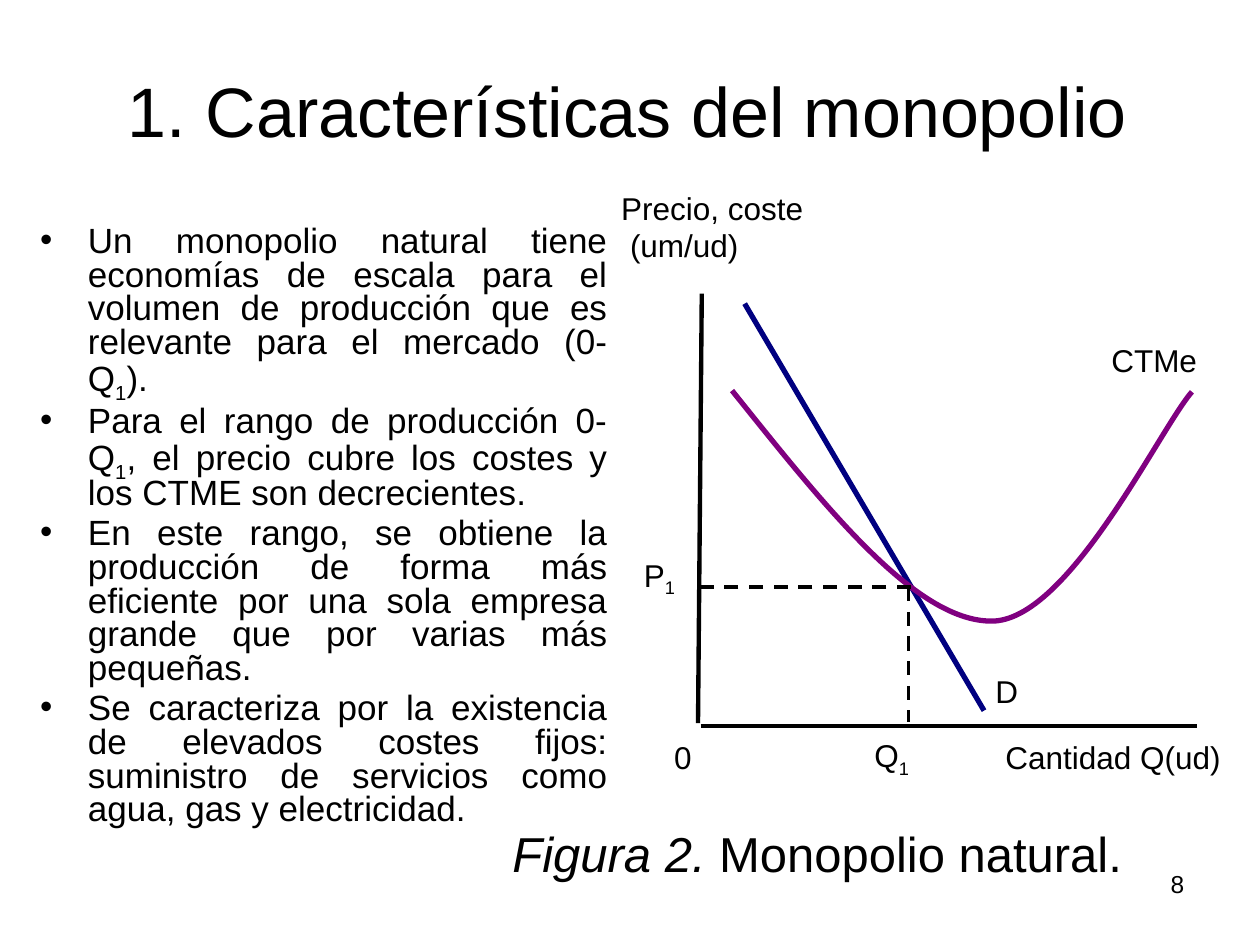
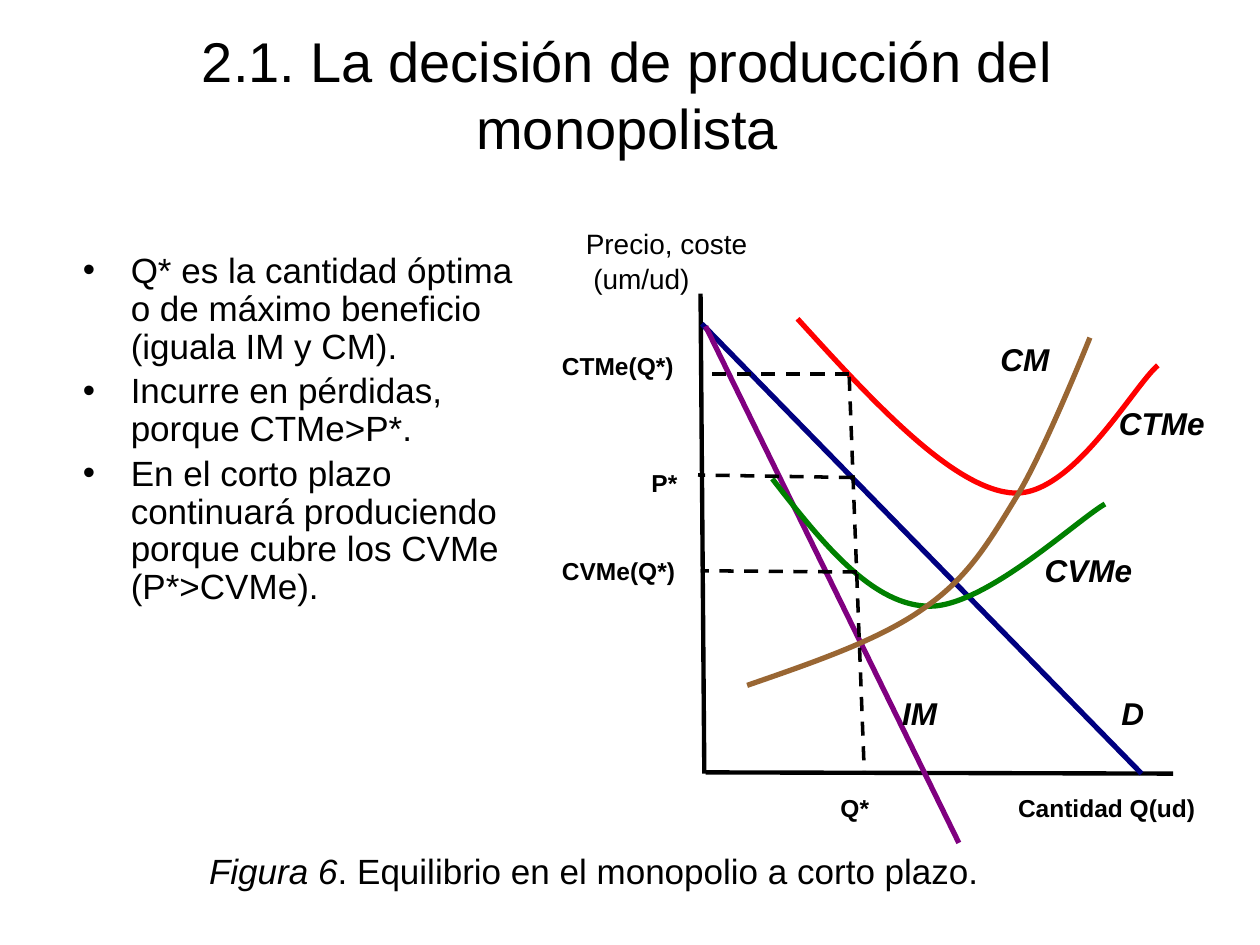
import pptx
import pptx.util
import pptx.dml.color
import pptx.enum.dml
import pptx.enum.shapes
import pptx.enum.text
import pptx.oxml.ns
import lxml.etree

Inches = pptx.util.Inches
Pt = pptx.util.Pt
qn = pptx.oxml.ns.qn
ALIGN = pptx.enum.text.PP_ALIGN
ANCHOR = pptx.enum.text.MSO_ANCHOR

FONT = "Arial"
COLOURS = {
    "ink": "000000",
    "demand": "000080",
    "purple": "800080",
    "total_cost": "FF0000",
    "variable_cost": "008000",
    "marginal_cost": "996633",
}
LABEL_HEIGHT = 0.4
BULLET_INDENT = 0.38


def rgb(name):
    return pptx.dml.color.RGBColor.from_string(COLOURS[name])


# Text
def add_spans(para, spans, size, bold=False, italic=False):
    """Spans are a string, or (text, style) pairs; style is "", "sub" or "italic"."""
    if isinstance(spans, str):
        spans = [(spans, "")]
    for text, style in spans:
        span = para.add_run()
        span.text = text
        span.font.name = FONT
        span.font.size = Pt(size)
        span.font.bold = bold
        span.font.italic = italic or style == "italic"
        span.font.color.rgb = rgb("ink")
        if style == "sub":
            span._r.get_or_add_rPr().set("baseline", "-25000")


def add_text_frame(page, left, top, width, height, anchor=ANCHOR.TOP):
    box = page.shapes.add_textbox(Inches(left), Inches(top), Inches(width), Inches(height))
    frame = box.text_frame
    frame.word_wrap = True
    frame.vertical_anchor = anchor
    return frame


def add_centred(page, spans, size, left, top, width, height, anchor=ANCHOR.TOP):
    para = add_text_frame(page, left, top, width, height, anchor).paragraphs[0]
    para.alignment = ALIGN.CENTER
    add_spans(para, spans, size)


def add_title(page, text, size, top, anchor):
    add_centred(page, text, size, 0.48, top, 9, 1.25, anchor)


def add_bullets(page, items, left, top, width, height, spacing, align):
    frame = add_text_frame(page, left, top, width, height)
    for index, spans in enumerate(items):
        para = frame.add_paragraph() if index else frame.paragraphs[0]
        para.alignment = align
        para.line_spacing = spacing
        if index:
            para.space_before = Pt(4)
        properties = para._p.get_or_add_pPr()
        properties.set("marL", str(Inches(BULLET_INDENT)))
        properties.set("indent", str(-Inches(BULLET_INDENT)))
        lxml.etree.SubElement(properties, qn("a:buFont")).set("typeface", FONT)
        lxml.etree.SubElement(properties, qn("a:buChar")).set("char", "•")
        add_spans(para, spans, 20)


def add_labels(page, labels, size, bold=False, italic=False):
    """Each label is (spans, left edge, middle height)."""
    for spans, left, middle in labels:
        length = sum(len(part[0]) for part in spans)
        width = round(length * size * 0.75 / 72 + 0.1, 2)
        frame = add_text_frame(page, left, middle - LABEL_HEIGHT / 2, width,
                               LABEL_HEIGHT, ANCHOR.MIDDLE)
        frame.margin_left = frame.margin_right = 0
        add_spans(frame.paragraphs[0], spans, size, bold, italic)


# Lines and curves
def add_line(page, start, end, colour="ink", weight=2.5, dashed=False):
    line = page.shapes.add_connector(
        pptx.enum.shapes.MSO_CONNECTOR.STRAIGHT,
        *(Inches(value) for value in (*start, *end)))
    line.line.color.rgb = rgb(colour)
    line.line.width = Pt(weight)
    if dashed:
        line.line.dash_style = pptx.enum.dml.MSO_LINE.DASH
    lxml.etree.SubElement(line._element.spPr, qn("a:effectLst"))


def add_guide(page, start, end):
    add_line(page, start, end, weight=2, dashed=True)


def add_curve(page, points, colour):
    """Draw Bezier pieces: a start point, then three points per piece."""
    start, *rest = [(Inches(x), Inches(y)) for x, y in points]
    builder = page.shapes.build_freeform(*start)
    builder.add_line_segments(rest, close=False)
    curve = builder.convert_to_shape()
    curve.shadow.inherit = False
    curve.fill.background()
    curve.line.color.rgb = rgb(colour)
    curve.line.width = Pt(3)
    # Turn each group of three straight segments into one cubic piece
    path = curve._element.find(".//" + qn("a:path"))
    segments = path.findall(qn("a:lnTo"))
    for first in range(0, len(segments), 3):
        piece = lxml.etree.SubElement(path, qn("a:cubicBezTo"))
        for segment in segments[first:first + 3]:
            piece.append(segment[0])
            path.remove(segment)


# Slides
def build_natural_monopoly(page):
    add_title(page, "1. Características del monopolio", 40, 0, ANCHOR.BOTTOM)
    add_bullets(page, [
        [("Un monopolio natural tiene economías de escala para el volumen de "
          "producción que es relevante para el mercado (0-Q", ""),
         ("1", "sub"), (").", "")],
        [("Para el rango de producción 0-Q", ""), ("1", "sub"),
         (", el precio cubre los costes y los CTME son decrecientes.", "")],
        "En este rango, se obtiene la producción de forma más eficiente por "
        "una sola empresa grande que por varias más pequeñas.",
        "Se caracteriza por la existencia de elevados costes fijos: "
        "suministro de servicios como agua, gas y electricidad.",
    ], 0.22, 1.75, 4.7, 4.95, 0.8, ALIGN.JUSTIFY)

    # Axes, demand, average cost and equilibrium guides
    add_line(page, (5.57, 2.33), (5.54, 5.74))
    add_line(page, (5.56, 5.76), (9.5, 5.76))
    add_line(page, (5.91, 2.41), (7.81, 5.64), "demand", 3)
    add_curve(page, [(5.81, 3.1), (6.54, 4.01), (7.26, 4.93), (7.87, 4.93),
                     (8.48, 4.93), (9.2, 3.41), (9.46, 3.11)], "purple")
    add_guide(page, (7.21, 4.66), (7.21, 5.73))
    add_guide(page, (7.23, 4.66), (5.54, 4.66))

    add_labels(page, [
        ("Precio, coste", 4.93, 1.65),
        ("(um/ud)", 5, 1.94),
        ("CTMe", 8.82, 2.86),
        ([("P", ""), ("1", "sub")], 5.11, 4.58),
        ("D", 7.9, 5.48),
        ("0", 5.35, 6.01),
        ([("Q", ""), ("1", "sub")], 6.94, 6.01),
        ("Cantidad Q(ud)", 7.98, 6.01),
    ], 18)
    add_centred(page, [("Figura 2.", "italic"), (" Monopolio natural.", "")],
                28, 3.85, 6.49, 5.27, 0.52)
    add_labels(page, [("8", 9.29, 7.01)], 14)


def build_short_run(page):
    add_title(page, "2.1. La decisión de producción del monopolista", 32, 0.12,
              ANCHOR.MIDDLE)
    add_bullets(page, [
        "Q* es la cantidad óptima o de máximo beneficio (iguala IM y CM).",
        "Incurre en pérdidas, porque CTMe>P*.",
        "En el corto plazo continuará produciendo porque cubre los CVMe (P*>CVMe).",
    ], 0.56, 1.96, 3.63, 3.35, 0.9, ALIGN.LEFT)

    # Axes, demand and marginal revenue
    add_line(page, (5.56, 2.33), (5.59, 6.14))
    add_line(page, (5.6, 6.13), (9.31, 6.14))
    add_line(page, (5.57, 2.57), (9.06, 6.14), "demand", 3)
    add_line(page, (5.6, 2.59), (7.61, 6.69), "purple", 3)

    # Cost curves
    add_curve(page, [(6.33, 2.53), (6.93, 3.19), (7.54, 3.85), (8.01, 3.91),
                     (8.49, 3.98), (8.99, 3.07), (9.19, 2.9)], "total_cost")
    add_curve(page, [(6.13, 3.8), (6.51, 4.29), (6.9, 4.78), (7.34, 4.81),
                     (7.78, 4.85), (8.53, 4.14), (8.77, 4)], "variable_cost")
    add_curve(page, [(5.93, 5.44), (6.45, 5.26), (6.98, 5.08), (7.33, 4.83),
                     (7.69, 4.58), (7.85, 4.3), (8.07, 3.94),
                     (8.29, 3.58), (8.65, 2.68), (8.65, 2.68)], "marginal_cost")

    # Guides at the optimal quantity
    add_guide(page, (6.74, 2.99), (6.86, 6.14))
    add_guide(page, (6.74, 2.97), (5.56, 2.97))
    add_guide(page, (6.77, 3.79), (5.54, 3.77))
    add_guide(page, (6.8, 4.54), (5.56, 4.53))

    add_labels(page, [("Precio, coste", 4.65, 1.93), ("(um/ud)", 4.71, 2.21)], 16)
    add_labels(page, [
        ("CTMe(Q*)", 4.46, 2.9),
        ("P*", 5.17, 3.83),
        ("CVMe(Q*)", 4.46, 4.53),
        ("Q*", 6.67, 6.41),
        ("Cantidad Q(ud)", 8.08, 6.41),
    ], 14, bold=True)
    add_labels(page, [
        ("CM", 7.94, 2.85),
        ("CTMe", 8.88, 3.36),
        ("CVMe", 8.29, 4.52),
        ("D", 8.9, 5.66),
        ("IM", 7.16, 5.66),
    ], 18, bold=True, italic=True)
    add_centred(page, [("Figura 6", "italic"),
                       (". Equilibrio en el monopolio a corto plazo.", "")],
                20, 0.46, 6.69, 8.51, 0.52)


def main():
    deck = pptx.Presentation()
    deck.slide_width = Inches(10)
    deck.slide_height = Inches(7.5)
    blank = deck.slide_layouts[6]
    for build in (build_natural_monopoly, build_short_run):
        build(deck.slides.add_slide(blank))
    deck.save("out.pptx")


if __name__ == "__main__":
    main()
